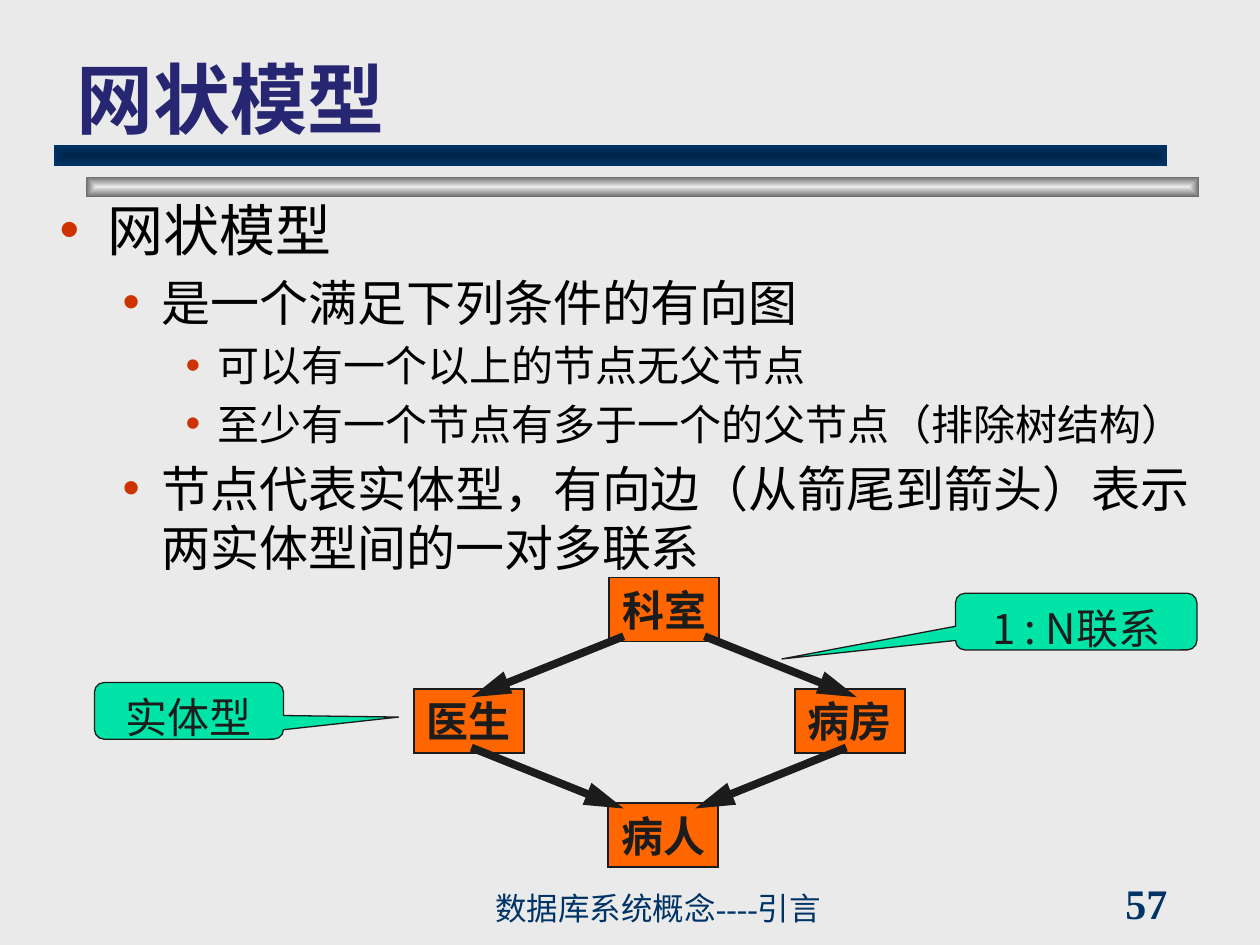
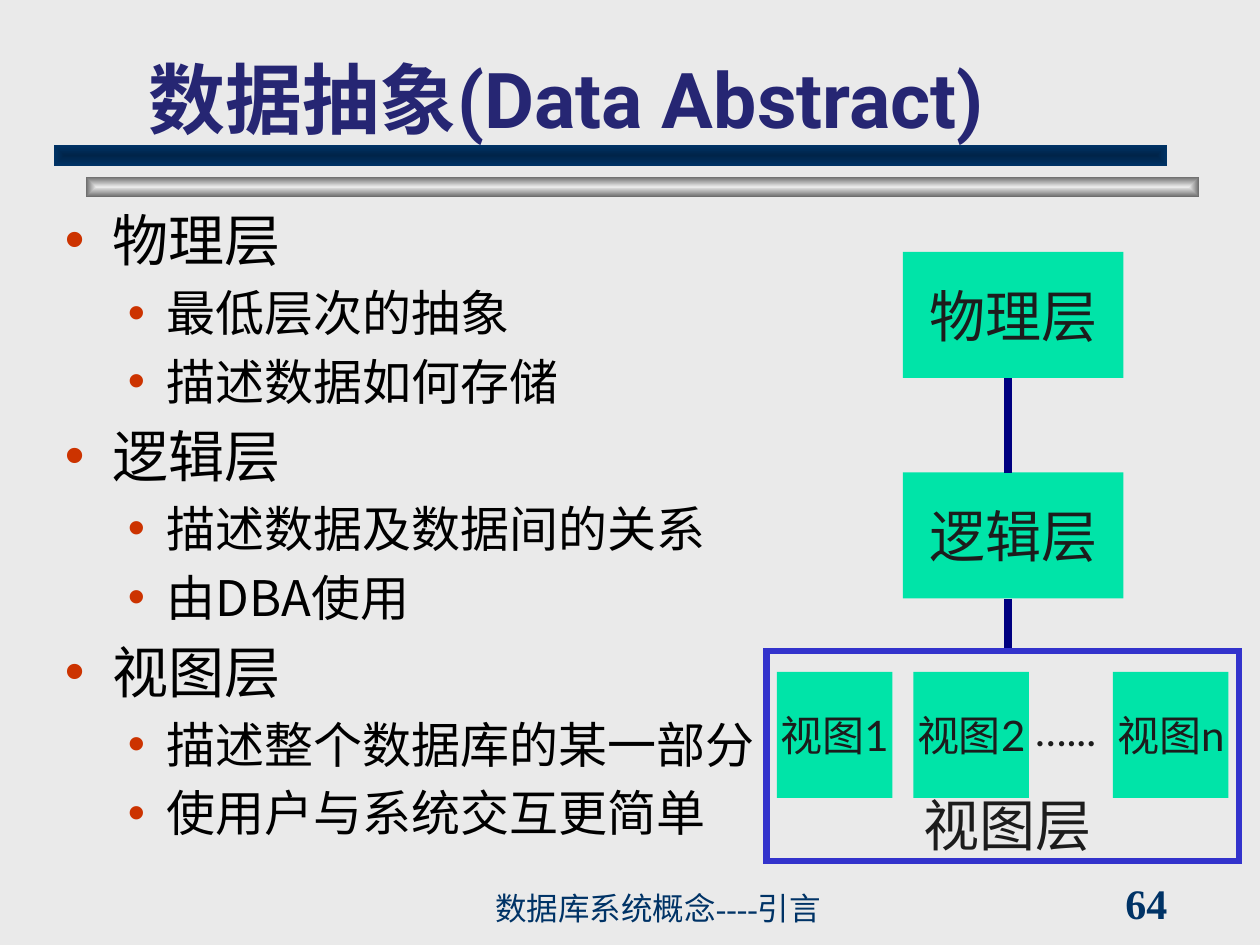
from lxml.etree import SubElement
from pptx import Presentation
from pptx.dml.color import RGBColor
from pptx.enum.shapes import MSO_CONNECTOR, MSO_SHAPE
from pptx.enum.text import MSO_ANCHOR, PP_ALIGN
from pptx.oxml.ns import qn
from pptx.util import Inches, Pt

deck = Presentation()
deck.slide_width, deck.slide_height = Inches(10), Inches(7.5)
COL = deck.slide_width / 120
ROW = deck.slide_height / 90

INK, NAVY, MINT, ORANGE = "1C1C1C", "003366", "00E4A8", "FF6600"
SANS, SERIF, LATO = "Noto Sans CJK JP", "Times New Roman", "Lato"
RECT, CALL = MSO_SHAPE.RECTANGLE, MSO_SHAPE.ROUNDED_RECTANGULAR_CALLOUT
MID, LOW, TOP = MSO_ANCHOR.MIDDLE, MSO_ANCHOR.BOTTOM, MSO_ANCHOR.TOP

# Per level: text size, left margin and hanging indent in inches
LEVELS = [(32, 0.38, 0.38), (28, 0.81, 0.31), (24, 1.25, 0.25)]
# Band place, centre colour, edge colour
BANDS = [((8.2, 16.85, 106, 1.9), "EAEAEA", "6C6C6C"),
         ((5.15, 13.8, 106, 2), "002449", NAVY)]

HEAD = dict(size=44, name="Roboto", bold=True, color="262673")
FOOT = dict(size=18, name=SERIF, color=NAVY)
PAGE = dict(size=24, name=SERIF, bold=True, color=NAVY)
NODE = dict(size=24, name=SANS, bold=True, color=INK)
NOTE = dict(size=24, name=SANS, color=INK)
BIG = dict(size=32, name=LATO, color=INK)
SMALL = dict(size=24, name=LATO, color=INK)


def hue(code):
    return RGBColor.from_string(code)


def box(slide, at, text="", font=None, kind=None, fill=None, line=None,
        anchor=MID, align=PP_ALIGN.CENTER, wrap=False):
    """Add a preset shape, or a text box if kind is None, at grid cells."""
    x, y, w, h = at
    place = [int(n) for n in (x * COL, y * ROW, w * COL, h * ROW)]
    if kind is None:
        item = slide.shapes.add_textbox(*place)
    else:
        item = slide.shapes.add_shape(kind, *place)
        item.shadow.inherit = False
        if fill:
            item.fill.solid()
            item.fill.fore_color.rgb = hue(fill)
        else:
            item.fill.background()
        if line:
            item.line.color.rgb, item.line.width = hue(line[0]), Pt(line[1])
            SubElement(item.line._get_or_add_ln(), qn("a:miter"), lim="800000")
        else:
            item.line.fill.background()
    frame = item.text_frame
    frame.word_wrap, frame.vertical_anchor = wrap, anchor
    if not wrap:
        frame.margin_left = frame.margin_right = 0
    if text:
        para = frame.paragraphs[0]
        para.alignment = align
        run = para.add_run()
        run.text = text
        for key, val in font.items():
            if key == "color":
                run.font.color.rgb = hue(val)
            else:
                setattr(run.font, key, Pt(val) if key == "size" else val)
    return item


node = dict(font=NODE, kind=RECT, fill=ORANGE, line=(INK, 1))
note = dict(font=NOTE, kind=CALL, fill=MINT, line=(INK, 0.75), anchor=TOP,
            wrap=True)
layer = dict(font=BIG, kind=RECT, fill=MINT)
view = dict(font=SMALL, kind=RECT, fill=MINT)

pages = [
    dict(
        num="57", title="网状模型", left=6.15, body=(4.5, 18, 112.5, 66),
        points=[(0, "网状模型"),
                (1, "是一个满足下列条件的有向图"),
                (2, "可以有一个以上的节点无父节点"),
                (2, "至少有一个节点有多于一个的父节点（排除树结构）"),
                (1, "节点代表实体型，有向边（从箭尾到箭头）表示"
                    "两实体型间的一对多联系")],
        boxes=[((58, 55, 10.5, 6.1), "科室", node),
               ((39.4, 65.6, 10.5, 6.1), "医生", node),
               ((75.7, 65.6, 10.5, 6.1), "病房", node),
               ((57.9, 76.5, 10.5, 6.1), "病人", node)],
        lines=[(59.4, 60.6, 44.9, 66.4), (67.1, 60.6, 81.6, 66.4),
               (44.9, 71.2, 59.4, 77), (80.6, 71.2, 66.2, 77)],
        pen=(INK, 4.5), arrow=True,
        over=[((9, 65, 18, 5.4), "实体型", note, (1.11, 0.11, 0.17)),
              ((91, 56.5, 23, 5.4), "1 : N联系", note, (-1.22, 0.66, 0.17))]),
    dict(
        num="64", title="数据抽象(Data Abstract)", left=13,
        body=(5, 19, 68.3, 67),
        points=[(0, "物理层"), (1, "最低层次的抽象"), (1, "描述数据如何存储"),
                (0, "逻辑层"), (1, "描述数据及数据间的关系"), (1, "由DBA使用"),
                (0, "视图层"), (1, "描述整个数据库的某一部分"),
                (1, "使用户与系统交互更简单")],
        boxes=[((86, 24, 21, 12), "物理层", layer),
               ((86, 45, 21, 12), "逻辑层", layer),
               ((74, 64, 11, 12), "视图1", view),
               ((87, 64, 11, 12), "视图2", view),
               ((106, 64, 11, 12), "视图n", view)],
        lines=[(96, 36, 96, 45), (96, 57, 96, 62)],
        pen=("000080", 5), arrow=False,
        over=[((73, 62, 45, 20), "", dict(kind=RECT, line=("3333CC", 3.5)), ()),
              ((98, 67, 7, 5), "…...", dict(font=SMALL), ()),
              ((86, 76, 20, 5), "视图层", dict(font=BIG), ())]),
]

for page in pages:
    slide = deck.slides.add_slide(deck.slide_layouts[6])
    slide.background.fill.solid()
    slide.background.fill.fore_color.rgb = hue("EAEAEA")

    for at, *tones in BANDS:
        band = box(slide, at, kind=RECT)
        band.fill.gradient()
        for stop, tone in zip(band.fill.gradient_stops, tones):
            stop.color.rgb = hue(tone)
        grad = band.fill._xPr.find(qn("a:gradFill"))
        grad.remove(grad.find(qn("a:lin")))
        way = SubElement(grad, qn("a:path"), path="shape")
        SubElement(way, qn("a:fillToRect"),
                   {side: "50000" for side in "ltrb"})

    for at, text, font, anchor in [
            ((106, 84, 13, 4), page["num"], PAGE, MID),
            ((46, 84.9, 49, 4), "数据库系统概念----引言", FOOT, LOW),
            ((page["left"], 4, 102.2, 10.3), page["title"], HEAD, LOW)]:
        box(slide, at, text, font, anchor=anchor, align=PP_ALIGN.LEFT,
            wrap=True)

    frame = box(slide, page["body"], anchor=TOP, wrap=True).text_frame
    for i, (level, text) in enumerate(page["points"]):
        para = frame.add_paragraph() if i else frame.paragraphs[0]
        size, margin, hang = LEVELS[level]
        para.level, para.space_before = level, Pt(size * 0.2)
        run = para.add_run()
        run.text = text
        run.font.size, run.font.name = Pt(size), SANS
        run.font.color.rgb = hue("000000")
        props = para._p.get_or_add_pPr()
        props.set("marL", str(Inches(margin)))
        props.set("indent", str(-Inches(hang)))
        tint = SubElement(props, qn("a:buClr"))
        SubElement(tint, qn("a:srgbClr"), val="CC3300")
        SubElement(props, qn("a:buFont"), typeface="Arial")
        SubElement(props, qn("a:buChar"), char="•")

    for at, text, look in page["boxes"]:
        box(slide, at, text, **look)

    for x1, y1, x2, y2 in page["lines"]:
        link = slide.shapes.add_connector(
            MSO_CONNECTOR.STRAIGHT, int(x1 * COL), int(y1 * ROW),
            int(x2 * COL), int(y2 * ROW))
        link.line.color.rgb = hue(page["pen"][0])
        link.line.width = Pt(page["pen"][1])
        if page["arrow"]:
            SubElement(link.line._get_or_add_ln(), qn("a:tailEnd"),
                       type="triangle", len="lg")
        SubElement(link._element.spPr, qn("a:effectLst"))

    for at, text, look, bends in page["over"]:
        item = box(slide, at, text, **look)
        for i, bend in enumerate(bends):
            item.adjustments[i] = bend

deck.save("out.pptx")
